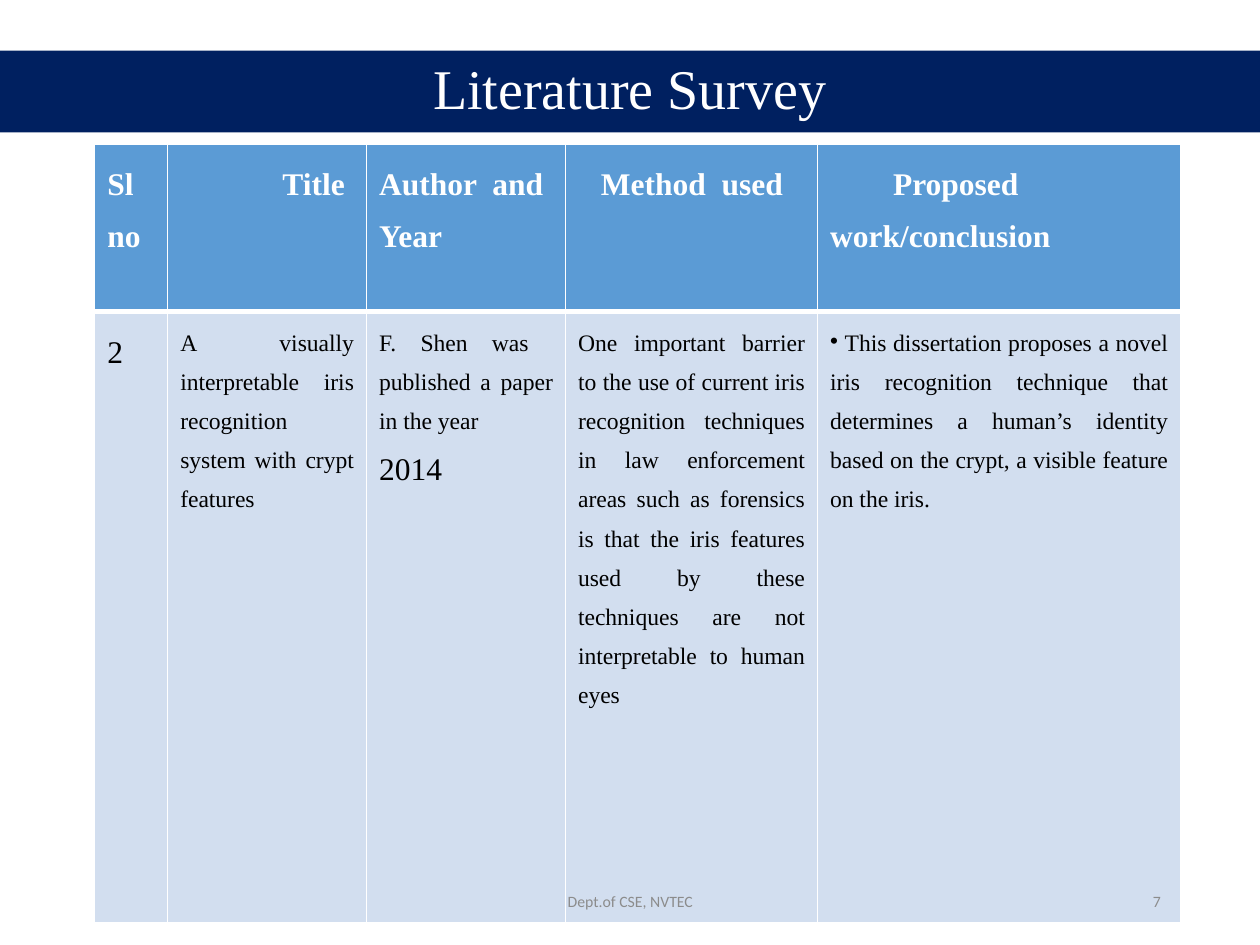
from lxml import etree
from pptx import Presentation
from pptx.dml.color import RGBColor
from pptx.enum.text import MSO_ANCHOR, PP_ALIGN
from pptx.oxml.ns import qn
from pptx.util import Cm, Pt

NAVY = RGBColor(0x00, 0x20, 0x60)
BLUE = RGBColor(0x5B, 0x9B, 0xD5)
PALE = RGBColor(0xD2, 0xDE, 0xEF)
WHITE = RGBColor(0xFF, 0xFF, 0xFF)
BLACK = RGBColor(0x00, 0x00, 0x00)
GREY = RGBColor(0x8C, 0x8C, 0x8C)

LEFT, CENTER, RIGHT = PP_ALIGN.LEFT, PP_ALIGN.CENTER, PP_ALIGN.RIGHT
JUSTIFY, MIDDLE = PP_ALIGN.JUSTIFY, MSO_ANCHOR.MIDDLE
SERIF, SANS = "Times New Roman", "Calibri"

TITLE = {"name": SERIF, "size": Pt(32), "bold": False}
HEAD = {"name": SERIF, "size": Pt(18), "bold": True}
LARGE = {"name": SERIF, "size": Pt(18), "bold": False}
BODY = {"name": SERIF, "size": Pt(13.5), "bold": False}
FOOTER = {"name": SANS, "size": Pt(9)}

# Header: text and first-line indent in cm
HEADERS = [("Sl no", 0), ("Title", 2.06), ("Author  and Year", 0),
           ("Method  used", 0.46), ("Proposed work/conclusion", 1.27)]
# Body cells: paragraphs of text, format, alignment and bullet
ENTRY = [
    [("2", LARGE, LEFT, None)],
    [("A visually interpretable iris recognition system with crypt features",
      BODY, JUSTIFY, None)],
    [("F. Shen was  published a paper in the year ", BODY, JUSTIFY, None),
     ("2014", LARGE, JUSTIFY, None)],
    [("One important barrier to the use of current iris recognition techniques "
      "in law enforcement areas such as forensics is that the iris features "
      "used by these techniques are not interpretable to human eyes",
      BODY, JUSTIFY, None)],
    [(" This dissertation proposes a novel iris recognition technique that "
      "determines a human’s identity based on the crypt, a visible feature "
      "on the iris.", BODY, JUSTIFY, "•")],
]
COLUMNS = [1.47, 4.01, 4.01, 5.08, 7.32]
ROWS = [3.38, 12.32]


class SlideBuilder:
    def __init__(self, prs):
        self.s = prs.slides.add_slide(prs.slide_layouts[5])

    def paragraph(self, p, text, style, color, align, spacing=1.0):
        p.alignment, p.line_spacing = align, spacing
        r = p.add_run()
        r.text = text
        for key, value in style.items():
            setattr(r.font, key, value)
        r.font.color.rgb = color

    def title(self, text, box):
        sp = self.s.shapes.title
        sp.left, sp.top, sp.width, sp.height = map(Cm, box)
        sp.fill.solid()
        sp.fill.fore_color.rgb = NAVY
        tf = sp.text_frame
        tf.vertical_anchor = MIDDLE
        self.paragraph(tf.paragraphs[0], text, TITLE, WHITE, CENTER, 0.9)

    def text(self, text, box, align):
        tf = self.s.shapes.add_textbox(*map(Cm, box)).text_frame
        tf.word_wrap, tf.vertical_anchor = True, MIDDLE
        self.paragraph(tf.paragraphs[0], text, FOOTER, GREY, align)

    def table(self, left, top, columns, rows):
        frame = self.s.shapes.add_table(len(rows), len(columns), Cm(left), Cm(top),
                                        Cm(sum(columns)), Cm(sum(rows)))
        table = frame.table
        for column, width in zip(table.columns, columns):
            column.width = Cm(width)
        for row, height in zip(table.rows, rows):
            row.height = Cm(height)
        return table

    def cell(self, cell, fill, borders):
        tcPr = cell._tc.get_or_add_tcPr()
        for side, width in borders.items():
            ln = etree.SubElement(tcPr, qn("a:ln" + side), w=str(Pt(width)))
            solid = etree.SubElement(ln, qn("a:solidFill"))
            etree.SubElement(solid, qn("a:srgbClr"), val=str(WHITE))
        cell.fill.solid()
        cell.fill.fore_color.rgb = fill

    def header(self, cell, text, indent):
        self.cell(cell, BLUE, {"L": 1, "R": 1, "T": 1, "B": 3})
        p = cell.text_frame.paragraphs[0]
        self.paragraph(p, text, HEAD, WHITE, LEFT, 1.5)
        p._p.get_or_add_pPr().set("indent", str(Cm(indent)))

    def entry(self, cell, paragraphs):
        self.cell(cell, PALE, {"L": 1, "R": 1, "T": 3, "B": 1})
        tf = cell.text_frame
        for i, (text, style, align, bullet) in enumerate(paragraphs):
            p = tf.add_paragraph() if i else tf.paragraphs[0]
            self.paragraph(p, text, style, BLACK, align, 1.5)
            if bullet:
                etree.SubElement(p._p.get_or_add_pPr(), qn("a:buChar"), char=bullet)


def main():
    prs = Presentation()
    prs.slide_width, prs.slide_height = Cm(25.4), Cm(19.05)
    slide = SlideBuilder(prs)

    # Title band
    slide.title("Literature Survey", (0, 1.02, 25.4, 1.65))

    # Survey table
    table = slide.table(1.91, 2.9, COLUMNS, ROWS)
    for col, (text, indent) in enumerate(HEADERS):
        slide.header(table.cell(0, col), text, indent)
        slide.entry(table.cell(1, col), ENTRY[col])

    # Footer and slide number
    slide.text("Dept.of CSE, NVTEC", (8.41, 17.65, 8.59, 1.02), CENTER)
    slide.text("7", (17.93, 17.65, 5.72, 1.02), RIGHT)

    prs.save("out.pptx")


if __name__ == "__main__":
    main()
